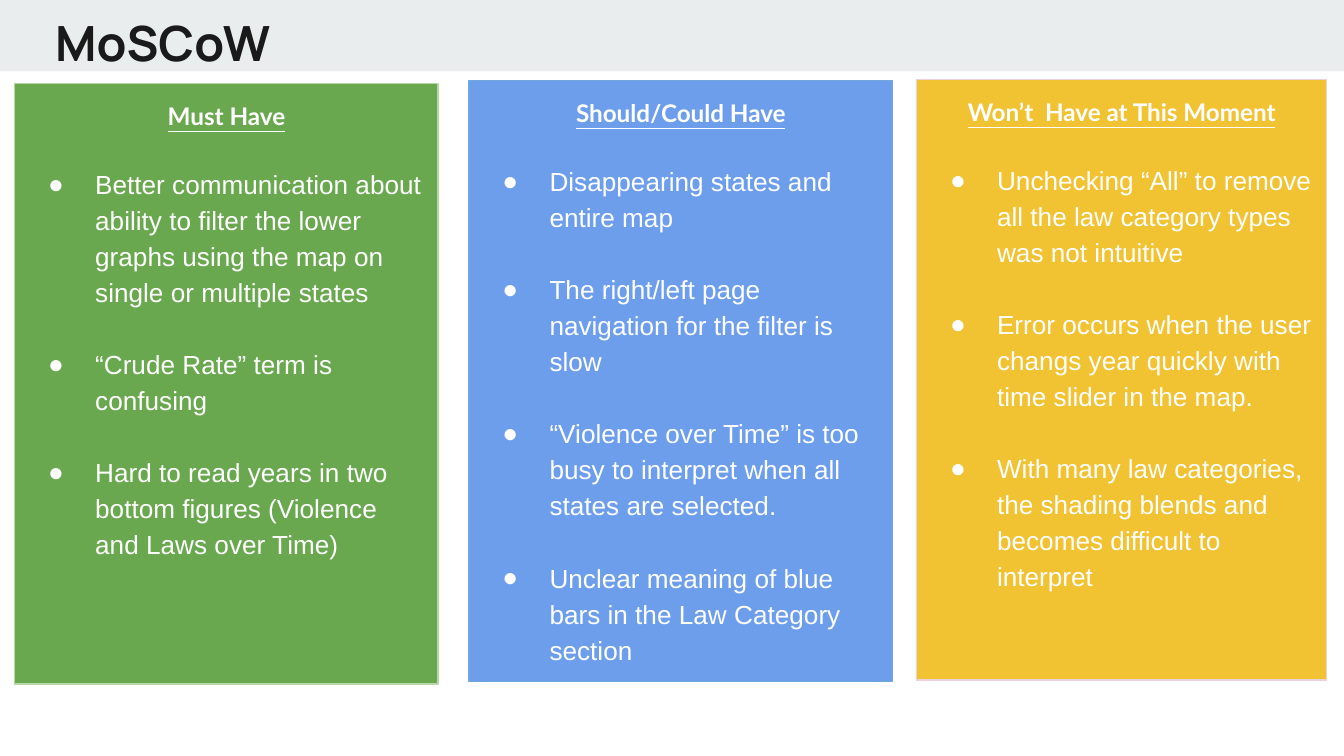
"""Build the MoSCoW priorities slide with three coloured columns."""
from dataclasses import dataclass

import pptx
import pptx.dml.color
import pptx.enum.shapes
import pptx.enum.text
import pptx.oxml.ns
import pptx.util
from lxml import etree

Inches = pptx.util.Inches
Pt = pptx.util.Pt
Align = pptx.enum.text.PP_ALIGN


@dataclass(frozen=True)
class Theme:
    banner: str = "E9EDEE"
    ink: str = "1A1A1A"
    light: str = "FFFFFF"
    title_font: str = "Manrope"
    heading_font: str = "Lato"
    item_font: str = "Arial"
    title_size: float = 26
    heading_size: float = 13
    item_size: float = 14
    heading_spacing: float = 1.15
    heading_gap: float = 17.9
    item_pitch: float = 19.3
    border: float = 0.75
    margin: float = 0.1
    indent: float = 0.5
    hanging: float = -0.35


@dataclass(frozen=True)
class Column:
    heading: str
    items: tuple[str, ...]
    left: float
    top: float
    width: float
    fill: str
    border: str


THEME = Theme()
SLIDE_WIDTH = 10
SLIDE_HEIGHT = SLIDE_WIDTH * 9 / 16
COLUMN_HEIGHT = 4.47
COLUMNS = (
    Column(
        "Must Have",
        (
            "Better communication about ability to filter the lower graphs "
            "using the map on single or multiple states",
            "“Crude Rate” term is confusing",
            "Hard to read years in two bottom figures (Violence and Laws over Time)",
        ),
        0.11, 0.62, 3.15, "6AA84F", "B6D7A8",
    ),
    Column(
        "Should/Could Have",
        (
            "Disappearing states and entire map",
            "The right/left page navigation for the filter is slow",
            "“Violence over Time” is too busy to interpret when all states are selected.",
            "Unclear meaning of blue bars in the Law Category section",
        ),
        3.49, 0.6, 3.15, "6D9EEB", "6FA8DC",
    ),
    Column(
        "Won’t  Have at This Moment",
        (
            "Unchecking “All” to remove all the law category types was not intuitive",
            "Error occurs when the user changs year quickly with time slider in the map.",
            "With many law categories, the shading blends and becomes difficult to interpret",
        ),
        6.82, 0.59, 3.05, "F1C232", "EAD1DC",
    ),
)


def rgb(value: str) -> pptx.dml.color.RGBColor:
    """Return a colour from its hex value."""
    return pptx.dml.color.RGBColor.from_string(value)


def apply(target, values: dict) -> None:
    """Set every attribute in a dict of format values."""
    for key, value in values.items():
        setattr(target, key, value)


def write(paragraph, text: str, color: str, font: dict, layout: dict) -> None:
    """Fill a paragraph with one formatted run."""
    apply(paragraph, layout)
    run = paragraph.add_run()
    run.text = text
    apply(run.font, font)
    run.font.color.rgb = rgb(color)


def prepare_frame(frame) -> None:
    """Give a text frame wrapping, top anchoring and even margins."""
    apply(frame, {
        "word_wrap": True,
        "auto_size": pptx.enum.text.MSO_AUTO_SIZE.NONE,
        "vertical_anchor": pptx.enum.text.MSO_ANCHOR.TOP,
    })
    apply(frame, {f"margin_{side}": Inches(THEME.margin)
                  for side in ("left", "top", "right", "bottom")})


def add_panel(slide, left: float, top: float, width: float, height: float, fill: str):
    """Draw a plain filled rectangle."""
    panel = slide.shapes.add_shape(
        pptx.enum.shapes.MSO_SHAPE.RECTANGLE,
        Inches(left), Inches(top), Inches(width), Inches(height))
    panel.shadow.inherit = False
    panel.fill.solid()
    panel.fill.fore_color.rgb = rgb(fill)
    panel.line.fill.background()
    return panel


def add_bullet(paragraph) -> None:
    """Give a paragraph a hanging round bullet."""
    qn = pptx.oxml.ns.qn
    properties = paragraph._p.get_or_add_pPr()
    properties.set("marL", str(Inches(THEME.indent)))
    properties.set("indent", str(Inches(THEME.hanging)))
    color = etree.SubElement(properties, qn("a:buClr"))
    etree.SubElement(color, qn("a:srgbClr"), val=THEME.light)
    etree.SubElement(properties, qn("a:buFont"), typeface=THEME.item_font)
    etree.SubElement(properties, qn("a:buChar"), char="●")


def add_column(slide, column: Column) -> None:
    """Draw one priority column with its heading and items."""
    panel = add_panel(slide, column.left, column.top, column.width,
                      COLUMN_HEIGHT, column.fill)
    panel.line.color.rgb = rgb(column.border)
    panel.line.width = Pt(THEME.border)
    frame = panel.text_frame
    prepare_frame(frame)
    write(frame.paragraphs[0], column.heading, THEME.light,
          {"name": THEME.heading_font, "size": Pt(THEME.heading_size),
           "bold": True, "underline": True},
          {"alignment": Align.CENTER, "line_spacing": THEME.heading_spacing,
           "space_after": Pt(THEME.heading_gap)})
    for item in column.items:
        paragraph = frame.add_paragraph()
        write(paragraph, item, THEME.light,
              {"name": THEME.item_font, "size": Pt(THEME.item_size)},
              {"alignment": Align.LEFT, "line_spacing": Pt(THEME.item_pitch),
               "space_after": Pt(THEME.item_pitch)})
        add_bullet(paragraph)


def place_title(slide, text: str) -> None:
    """Move, format and bring forward the title placeholder."""
    title = slide.shapes.title
    apply(title, {"left": Inches(0.31), "top": Inches(0),
                  "width": Inches(8.41), "height": Inches(0.59)})
    prepare_frame(title.text_frame)
    write(title.text_frame.paragraphs[0], text, THEME.ink,
          {"name": THEME.title_font, "size": Pt(THEME.title_size), "bold": True},
          {"alignment": Align.LEFT})
    title.element.getparent().append(title.element)


def main() -> None:
    """Build and save the slide."""
    deck = pptx.Presentation()
    apply(deck, {"slide_width": Inches(SLIDE_WIDTH),
                 "slide_height": Inches(SLIDE_HEIGHT)})
    slide = deck.slides.add_slide(deck.slide_layouts.get_by_name("Title Only"))
    add_panel(slide, 0, 0, SLIDE_WIDTH, 0.53, THEME.banner)
    for column in COLUMNS:
        add_column(slide, column)
    place_title(slide, "MoSCoW")
    deck.save("out.pptx")


if __name__ == "__main__":
    main()
